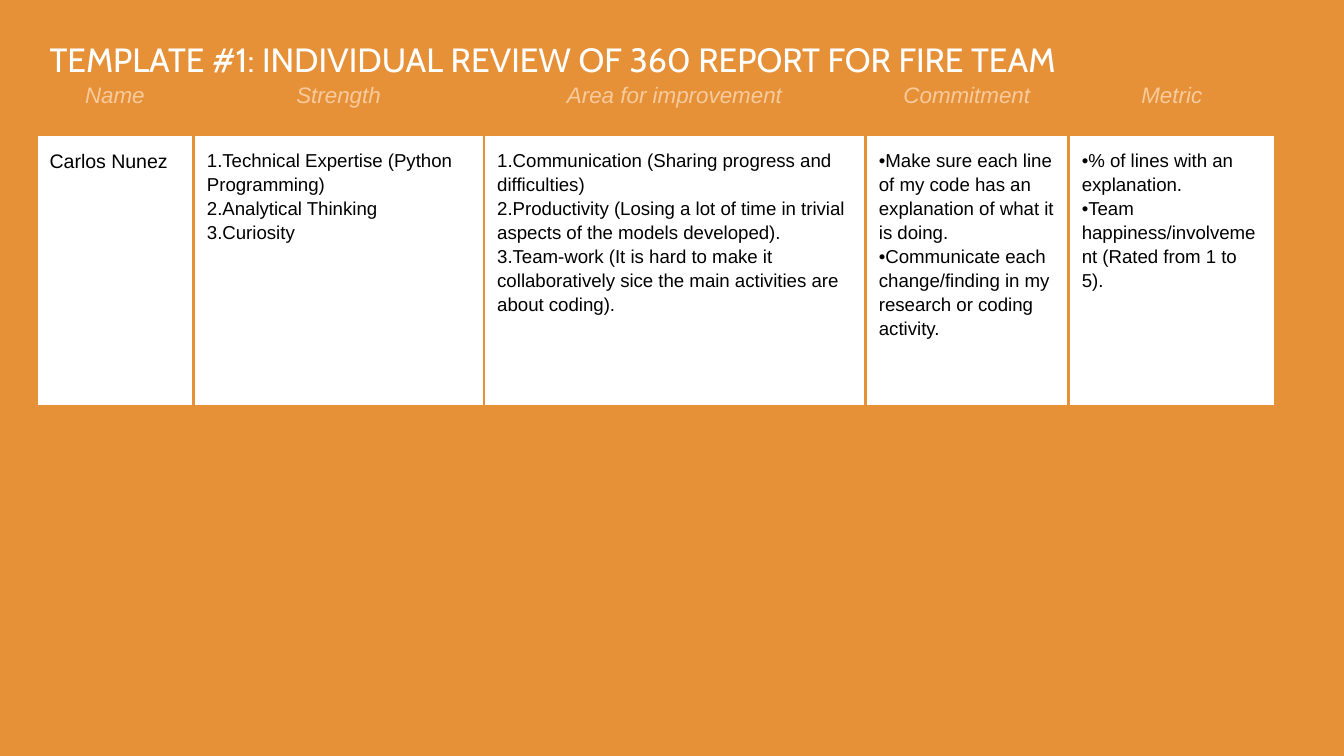
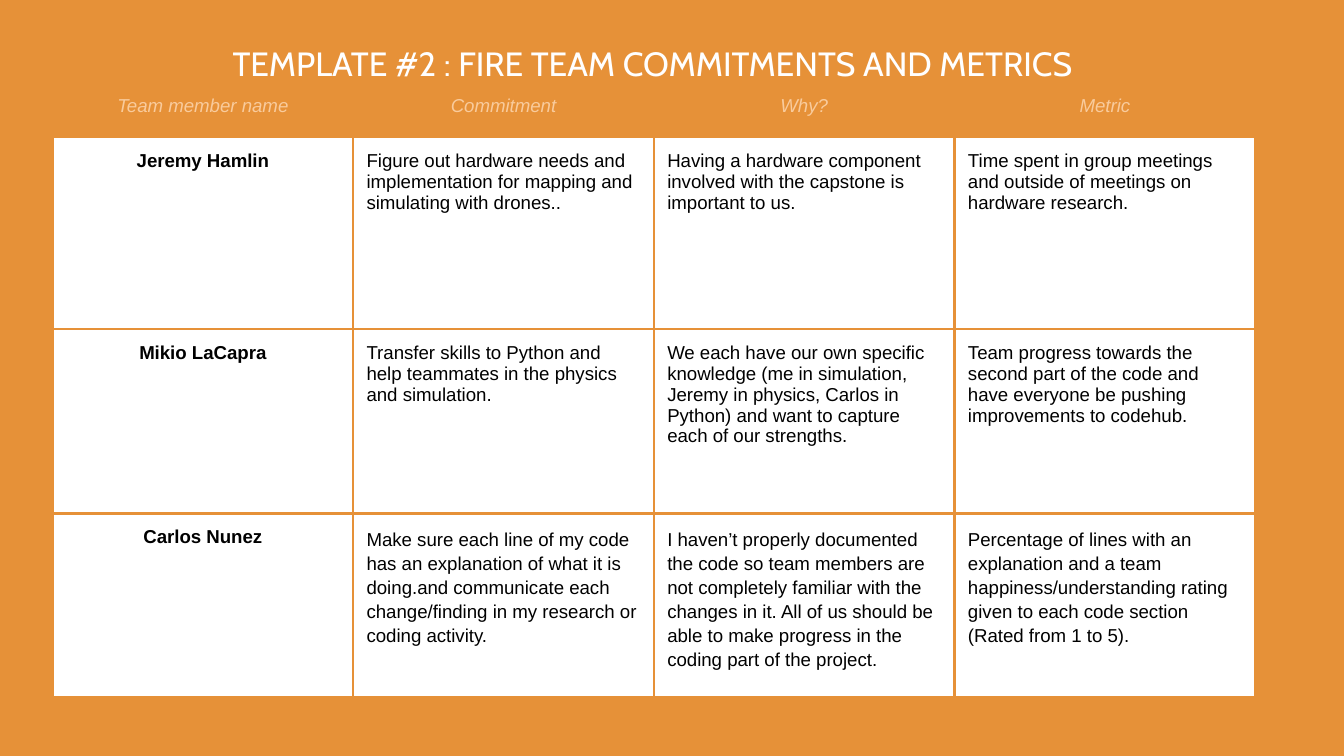
from dataclasses import dataclass
from lxml import etree
from pptx import Presentation
from pptx import util as u
from pptx.dml.color import RGBColor
from pptx.enum import text
from pptx.oxml.ns import qn


@dataclass(frozen=True)
class Theme:
    back: str = "E69138"
    cell: str = "FFFFFF"
    head: str = "F9CB9C"
    ink: str = "000000"
    title: str = "FFFFFF"
    body: str = "Arial"
    face: str = "Cabin"
    big: float = 18
    mid: float = 12
    name: float = 10.5
    small: float = 10
    inset: float = 7.2
    edge: float = 1.5
    loose: float = 1.15


T = Theme()
MID = text.PP_ALIGN.CENTER
LEFT = text.PP_ALIGN.LEFT


def add_run(para, words, size, tint, font=T.body, bold=False, ital=False):
    run = para.add_run()
    run.text = words
    run.font.name = font
    run.font.size = u.Pt(size)
    run.font.color.rgb = RGBColor.from_string(tint)
    run.font.bold = bold
    run.font.italic = ital


def pad(box):
    for side in ("left", "top", "right", "bottom"):
        setattr(box, f"margin_{side}", u.Pt(T.inset))


def add_slide(deck):
    slide = deck.slides.add_slide(deck.slide_layouts[6])
    slide.background.fill.solid()
    slide.background.fill.fore_color.rgb = RGBColor.from_string(T.back)
    return slide


def add_title(slide, words, left, top, width, align):
    frame = slide.shapes.add_textbox(*map(u.Pt, (left, top, width, 28))).text_frame
    frame.word_wrap = True
    frame.vertical_anchor = text.MSO_ANCHOR.TOP
    pad(frame)
    para = frame.paragraphs[0]
    para.alignment = align
    add_run(para, words, T.big, T.title, T.face)


def add_edges(cell):
    props = cell._tc.get_or_add_tcPr()
    for spot, side in enumerate("LRTB"):
        line = etree.Element(qn(f"a:ln{side}"), w=str(u.Pt(T.edge)))
        fill = etree.SubElement(line, qn("a:solidFill"))
        etree.SubElement(fill, qn("a:srgbClr"), val=T.back)
        props.insert(spot, line)


def fill_cell(cell, lines, tint, back, size, align=LEFT, space=1.0, bold=False, ital=False):
    cell.fill.solid()
    cell.fill.fore_color.rgb = RGBColor.from_string(back)
    add_edges(cell)
    pad(cell)
    cell.vertical_anchor = text.MSO_ANCHOR.TOP
    frame = cell.text_frame
    for spot, words in enumerate(lines):
        para = frame.add_paragraph() if spot else frame.paragraphs[0]
        para.alignment = align
        para.line_spacing = space
        add_run(para, words, size, tint, bold=bold, ital=ital)


def add_grid(slide, left, top, cols, rows, heads, size):
    shape = slide.shapes.add_table(
        len(rows), len(cols), u.Pt(left), u.Pt(top), u.Pt(sum(cols)), u.Pt(sum(rows)))
    grid = shape.table
    grid.first_row = grid.horz_banding = False
    for col, width in zip(grid.columns, cols):
        col.width = u.Pt(width)
    for row, height in zip(grid.rows, rows):
        row.height = u.Pt(height)
    for spot, words in enumerate(heads):
        fill_cell(grid.cell(0, spot), [words], T.head, T.back, size, MID, ital=True)
    return grid


def add_review(deck):
    slide = add_slide(deck)
    grid = add_grid(
        slide, 19.44, 37.44, [84.24, 155.52, 204.48, 108.72, 110.88], [34.56, 145.44],
        ["Name", "Strength", "Area for improvement", "Commitment", "Metric"], T.mid)
    cells = [
        ["Carlos Nunez"],
        ["1.Technical Expertise (Python Programming)",
         "2.Analytical Thinking",
         "3.Curiosity"],
        ["1.Communication (Sharing progress and difficulties)",
         "2.Productivity (Losing a lot of time in trivial aspects of the models developed).",
         "3.Team-work (It is hard to make it collaboratively sice the main activities "
         "are about coding)."],
        ["•Make sure each line of my code has an explanation of what it is doing.",
         "•Communicate each change/finding in my research or coding activity."],
        ["•% of lines with an explanation.",
         "•Team happiness/involvement (Rated from 1 to 5)."],
    ]
    for spot, lines in enumerate(cells):
        size = T.small if spot else T.name
        fill_cell(grid.cell(1, spot), lines, T.ink, T.cell, size, space=T.loose)
    add_title(slide, "TEMPLATE #1: INDIVIDUAL REVIEW OF 360 REPORT FOR FIRE TEAM",
              19.44, 13.68, 565.2, LEFT)


def add_team(deck):
    slide = add_slide(deck)
    grid = add_grid(
        slide, 28.08, 43.92, [161.1] * 4, [29.52, 102.96, 98.64, 98.64],
        ["Team member name", "Commitment", "Why?", "Metric"], T.small)
    team = [
        ("Jeremy Hamlin", 1.0,
         "Figure out hardware needs and implementation for mapping and simulating with drones..",
         "Having a hardware component involved with the capstone is important to us.",
         "Time spent in group meetings and outside of meetings on hardware research."),
        ("Mikio LaCapra", 1.0,
         "Transfer skills to Python and help teammates in the physics and simulation.",
         "We each have our own specific knowledge (me in simulation, Jeremy in physics, "
         "Carlos in Python) and want to capture each of our strengths.",
         "Team progress towards the second part of the code and have everyone be pushing "
         "improvements to codehub."),
        ("Carlos Nunez", T.loose,
         "Make sure each line of my code has an explanation of what it is doing.and "
         "communicate each change/finding in my research or coding activity.",
         "I haven’t properly documented the code so team members are not completely "
         "familiar with the changes in it. All of us should be able to make progress in "
         "the coding part of the project.",
         "Percentage of lines with an explanation and a team happiness/understanding "
         "rating given to each code section (Rated from 1 to 5)."),
    ]
    for row, (name, space, *notes) in enumerate(team, 1):
        fill_cell(grid.cell(row, 0), [name], T.ink, T.cell, T.small, MID, bold=True)
        for col, words in enumerate(notes, 1):
            fill_cell(grid.cell(row, col), [words], T.ink, T.cell, T.small, space=space)
    add_title(slide, "TEMPLATE #2 : FIRE TEAM COMMITMENTS AND METRICS",
              108, 15.84, 483.12, MID)


def main():
    deck = Presentation()
    deck.slide_width = u.Pt(720)
    deck.slide_height = u.Pt(405)
    add_review(deck)
    add_team(deck)
    deck.save("out.pptx")


if __name__ == "__main__":
    main()
